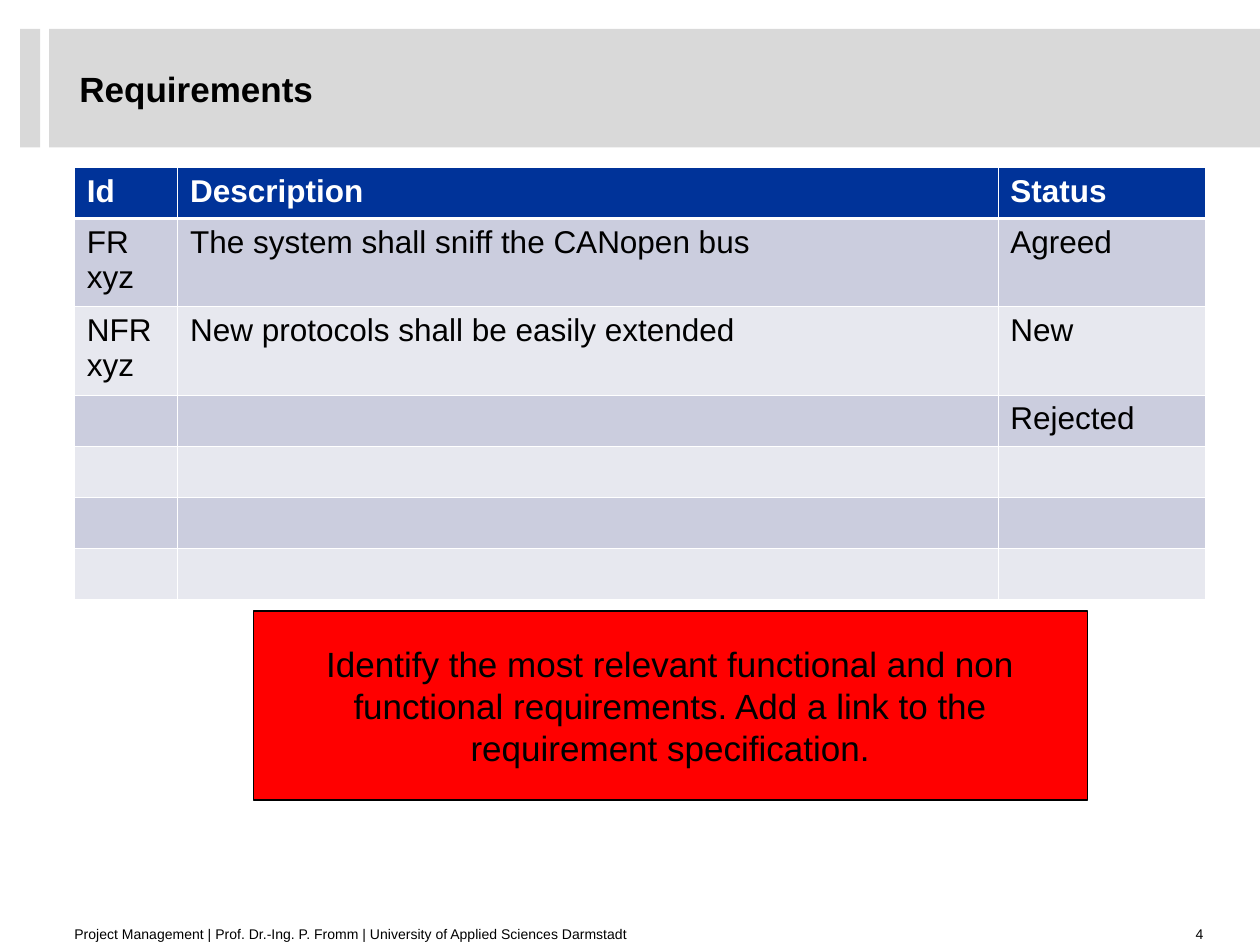
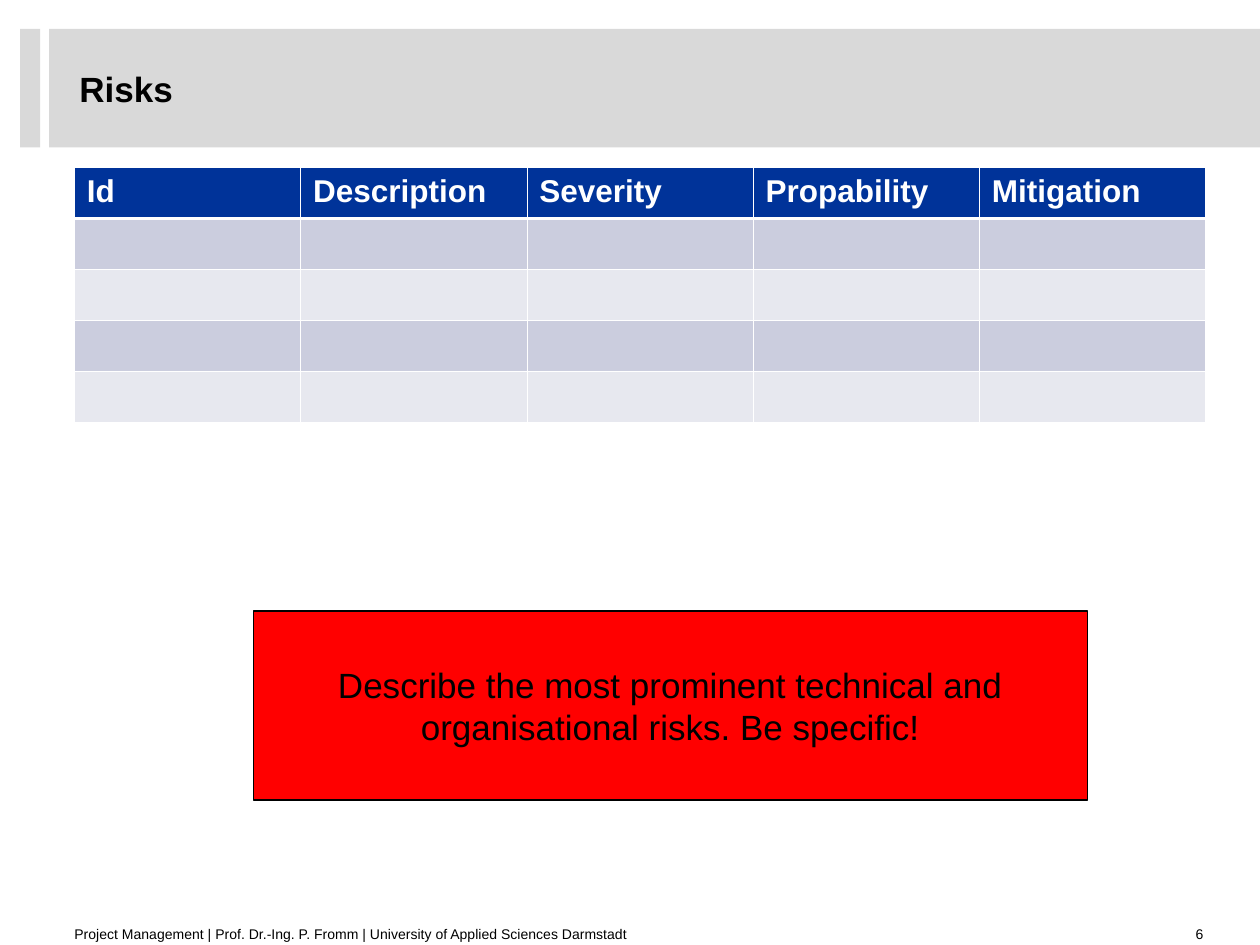
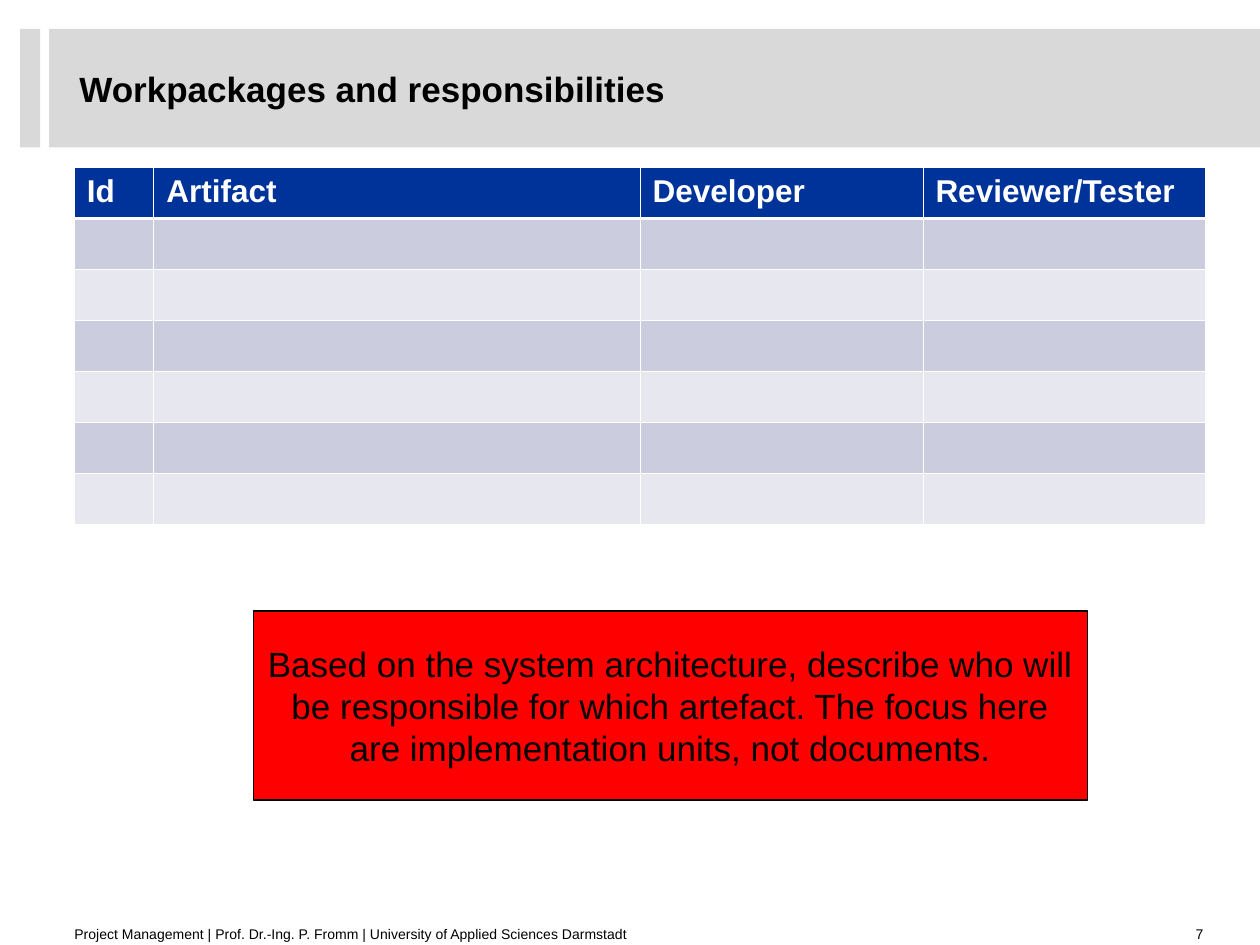
from lxml import etree
from pptx import Presentation
from pptx.dml.color import RGBColor
from pptx.enum.shapes import MSO_SHAPE
from pptx.enum.text import MSO_ANCHOR, PP_ALIGN
from pptx.oxml.ns import qn
from pptx.util import Inches, Pt

RECT = MSO_SHAPE.RECTANGLE
MIDDLE, BOTTOM = MSO_ANCHOR.MIDDLE, MSO_ANCHOR.BOTTOM
LEFT, CENTER, RIGHT = PP_ALIGN.LEFT, PP_ALIGN.CENTER, PP_ALIGN.RIGHT

BLACK = RGBColor(0x00, 0x00, 0x00)
WHITE = RGBColor(0xFF, 0xFF, 0xFF)
GREY = RGBColor(0xD9, 0xD9, 0xD9)
RED = RGBColor(0xFF, 0x00, 0x00)
BLUE = RGBColor(0x00, 0x33, 0x99)
BANDS = (RGBColor(0xE7, 0xE8, 0xEF), RGBColor(0xCB, 0xCD, 0xDE))

FONT = "Arial"
CREDIT = ("Project Management | Prof. Dr.-Ing. P. Fromm | "
          "University of Applied Sciences Darmstadt")
THIN, THICK = 0.45, 1.47
ROW, TALL = 0.405, 0.7

# Boxes: left, top, width, height in inches
HEAD = (0.16, 0.23, 9.84, 0.94)
GRID = (0.59, 1.33)
NOTE = (2.01, 4.85, 6.62, 1.5)
FOOT = (0.59, 7.27, 9.06, 0.21)

# Title, page number, column widths, row heights, table text, note
PAGES = [
    ("Requirements", 4, [0.82, 6.51, 1.65], [ROW, TALL, TALL] + [ROW] * 4,
     [["Id", "Description", "Status"],
      ["FR xyz", "The system shall sniff the CANopen bus", "Agreed"],
      ["NFR xyz", "New protocols shall be easily extended", "New"],
      ["", "", "Rejected"]],
     "Identify the most relevant functional and non functional requirements. "
     "Add a link to the requirement specification."),
    ("Risks", 6, [8.98 / 5] * 5, [ROW] * 5,
     [["Id", "Description", "Severity", "Propability", "Mitigation"]],
     "Describe the most prominent technical and organisational risks. "
     "Be specific!"),
    ("Workpackages and responsibilities", 7, [0.63, 3.86, 2.245, 2.245],
     [ROW] * 7,
     [["Id", "Artifact", "Developer", "Reviewer/Tester"]],
     "Based on the system architecture, describe who will be responsible for "
     "which artefact. The focus here are implementation units, not documents."),
]


def add_run(para, text, size, color=BLACK, bold=False):
    run = para.add_run()
    run.text = text
    font = run.font
    font.name, font.size, font.bold = FONT, Pt(size), bold
    font.color.rgb = color


def fill_text(shape, text, size, anchor, pads, align=LEFT, bold=False):
    frame = shape.text_frame
    frame.word_wrap = True
    frame.vertical_anchor = anchor
    (frame.margin_left, frame.margin_top,
     frame.margin_right, frame.margin_bottom) = map(Inches, pads)
    para = frame.paragraphs[0]
    para.alignment = align
    add_run(para, text, size, bold=bold)
    return para


def add_rect(slide, box, color):
    rect = slide.shapes.add_shape(RECT, *map(Inches, box))
    rect.shadow.inherit = False
    rect.fill.solid()
    rect.fill.fore_color.rgb = color
    rect.line.fill.background()
    return rect


def add_label(slide, box, *args, **style):
    label = slide.shapes.add_textbox(*map(Inches, box))
    return fill_text(label, *args, **style)


def add_head(slide, box, title):
    left, top, width, height = box
    add_rect(slide, (left + 0.23, top, width - 0.23, height), GREY)
    add_rect(slide, (left, top, 0.16, height), GREY)
    para = add_label(slide, (left + 0.47, top + 0.08, 5.91, height - 0.16),
                     title, 20, MIDDLE, (0, 0, 0, 0), bold=True)
    para.line_spacing = Pt(24)


def add_edges(cell, row):
    """Thin white borders, with a thick one below the header row."""
    widths = {"lnL": THIN, "lnR": THIN,
              "lnT": THICK if row == 1 else THIN,
              "lnB": THICK if row == 0 else THIN}
    props = cell._tc.get_or_add_tcPr()
    for tag, width in widths.items():
        line = etree.SubElement(props, qn("a:" + tag), w=str(Pt(width)))
        fill = etree.SubElement(line, qn("a:solidFill"))
        etree.SubElement(fill, qn("a:srgbClr"), val=str(WHITE))


def add_grid(slide, spot, cols, rows, data):
    size = (sum(cols), sum(rows))
    table = slide.shapes.add_table(len(rows), len(cols),
                                   *map(Inches, spot + size)).table
    for col, width in zip(table.columns, cols):
        col.width = Inches(width)
    for r, height in enumerate(rows):
        table.rows[r].height = Inches(height)
        for c in range(len(cols)):
            cell = table.cell(r, c)
            add_edges(cell, r)
            cell.fill.solid()
            cell.fill.fore_color.rgb = BANDS[r % 2] if r else BLUE
            text = data[r][c] if r < len(data) else ""
            if text:
                add_run(cell.text_frame.paragraphs[0], text, 18,
                        BLACK if r else WHITE, r == 0)


def add_note(slide, box, text):
    note = add_rect(slide, box, RED)
    note.line.color.rgb = BLACK
    note.line.width = Pt(0.75)
    fill_text(note, text, 20, MIDDLE, (0.08,) * 4, CENTER)


def add_foot(slide, box, page):
    left, top, width, height = box
    add_label(slide, (left, top, 7.28, height), CREDIT, 8, BOTTOM,
              (0, 0, 0.1, 0))
    add_label(slide, (left + width - 0.53, top, 0.53, height), str(page), 8,
              BOTTOM, (0.1, 0, 0.1, 0), align=RIGHT)


def main():
    deck = Presentation()
    deck.slide_width, deck.slide_height = Inches(10), Inches(7.5)
    blank = deck.slide_layouts[6]
    for title, page, cols, rows, data, note in PAGES:
        slide = deck.slides.add_slide(blank)
        add_head(slide, HEAD, title)
        add_grid(slide, GRID, cols, rows, data)
        add_foot(slide, FOOT, page)
        add_note(slide, NOTE, note)
    deck.save("out.pptx")


if __name__ == "__main__":
    main()
